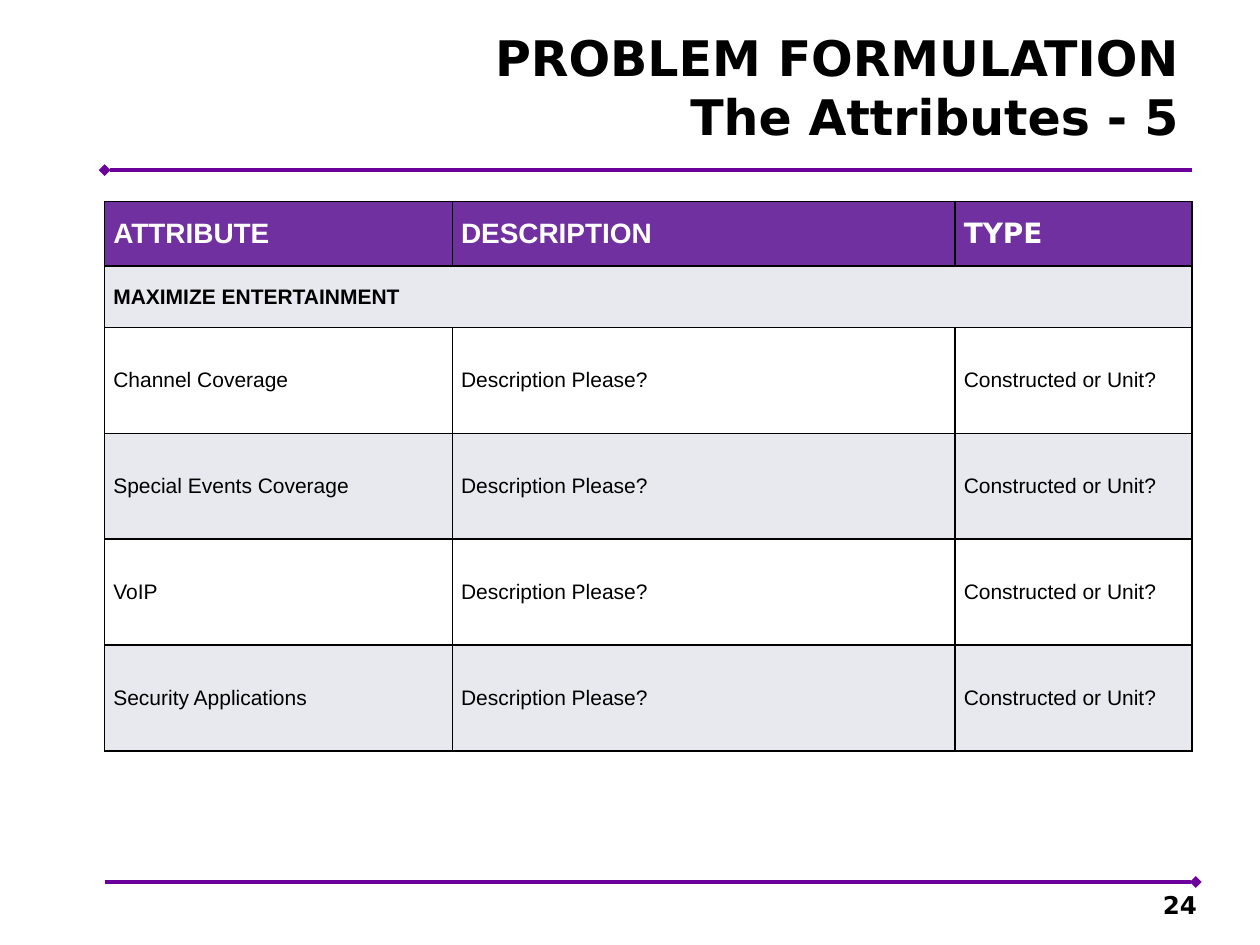
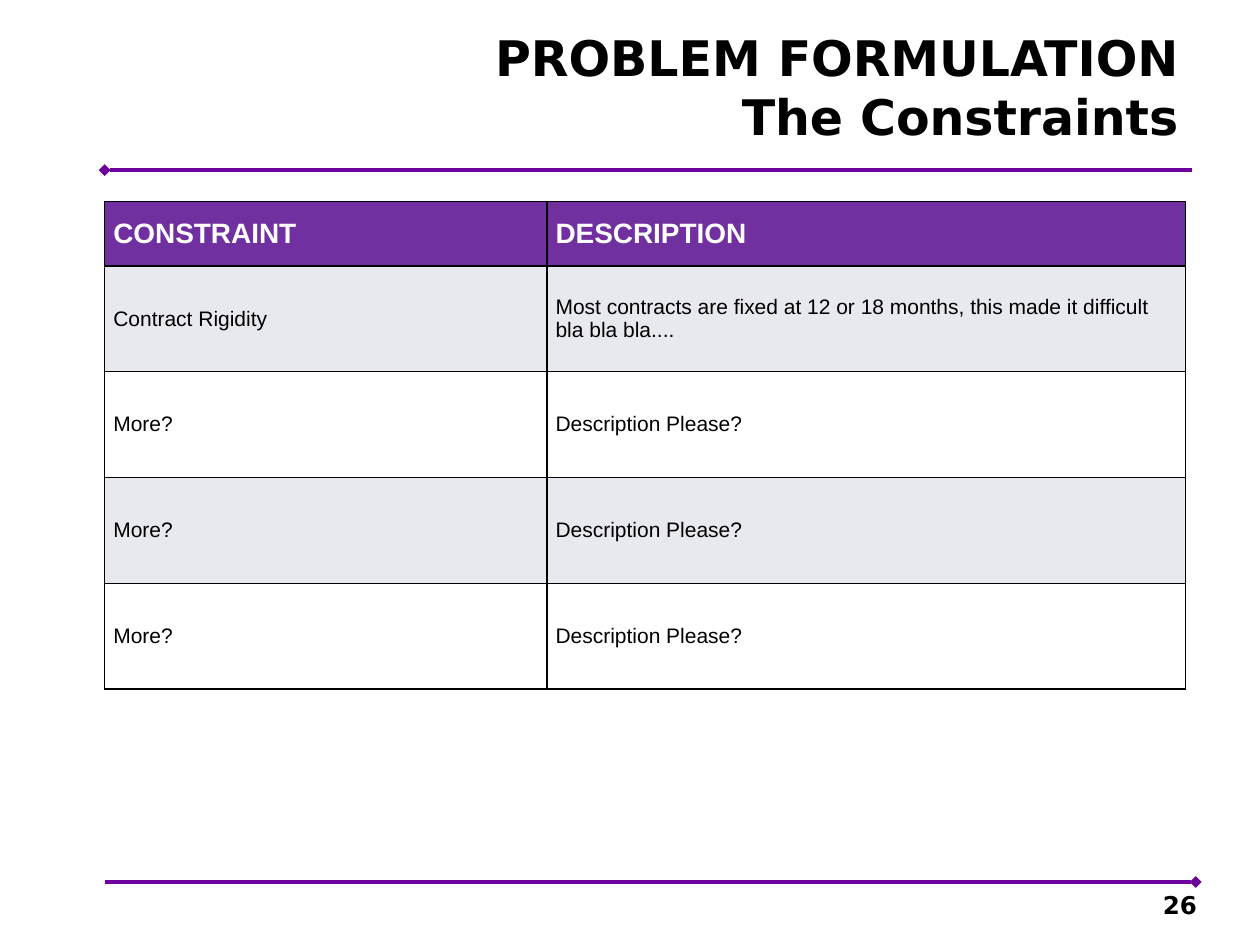
from lxml import etree
from pptx import Presentation
from pptx.dml.color import RGBColor
from pptx.enum import shapes, text
from pptx.oxml import ns
from pptx.util import Inches, Pt

COLORS = {
    "rule": "6D009D",
    "header": "7030A0",
    "band": "E8E8EF",
    "white": "FFFFFF",
    "black": "000000",
}
HEADING_FONT = "DejaVu Sans"
BODY_FONT = "Arial"
LEFT = 0.83
TABLE_TOP = 1.6
HEADER_H, SECTION_H, ROW_H = 0.51, 0.49, 0.84


def rgb(name):
    return RGBColor.from_string(COLORS[name])


def add_sub(parent, tag, **attrs):
    return etree.SubElement(parent, ns.qn(tag), attrs)


def style_runs(p, size, font, color, bold):
    for r in p.runs:
        r.font.size = Pt(size)
        r.font.name = font
        r.font.bold = bold
        r.font.color.rgb = rgb(color)


def add_rule(s, y, right, diamond_end):
    line = s.shapes.add_connector(
        shapes.MSO_CONNECTOR.STRAIGHT,
        Inches(LEFT), Inches(y), Inches(right), Inches(y))
    line.line.color.rgb = rgb("rule")
    line.line.width = Pt(2.25)
    add_sub(line.line._get_or_add_ln(), diamond_end, type="diamond")
    add_sub(line._element.spPr, "a:effectLst")


def add_heading_text(s, content, box, size, anchor, right_inset=0.1):
    sp = s.shapes.add_textbox(*map(Inches, box))
    tf = sp.text_frame
    tf.word_wrap = True
    tf.vertical_anchor = anchor
    tf.margin_right = Inches(right_inset)
    p = tf.paragraphs[0]
    p.text = content
    p.alignment = text.PP_ALIGN.RIGHT
    style_runs(p, size, HEADING_FONT, "black", True)


def add_frame(prs, subtitle, number):
    s = prs.slides.add_slide(prs.slide_layouts[6])
    s.background.fill.solid()
    s.background.fill.fore_color.rgb = rgb("white")
    add_rule(s, 1.35, 9.46, "a:headEnd")
    add_rule(s, 7, 9.49, "a:tailEnd")
    add_heading_text(s, f"PROBLEM FORMULATION\v{subtitle}",
                     (2.64, 0.17, 6.81, 1.1), 28, text.MSO_ANCHOR.TOP)
    add_heading_text(s, str(number), (7.17, 7.06, 2.33, 0.29), 14,
                     text.MSO_ANCHOR.BOTTOM, right_inset=0)
    return s


def set_borders(cell):
    tcPr = cell._tc.get_or_add_tcPr()
    for side in ("a:lnL", "a:lnR", "a:lnT", "a:lnB"):
        ln = add_sub(tcPr, side, w=str(Pt(1)))
        add_sub(add_sub(ln, "a:solidFill"), "a:srgbClr", val=COLORS["black"])


def style_cell(cell, fill, size, font, color, bold):
    set_borders(cell)
    cell.fill.solid()
    cell.fill.fore_color.rgb = rgb(fill)
    cell.vertical_anchor = text.MSO_ANCHOR.MIDDLE
    cell.margin_left = cell.margin_right = Inches(0.07)
    cell.margin_top = cell.margin_bottom = 0
    style_runs(cell.text_frame.paragraphs[0], size, font, color, bold)


def add_grid(s, widths, rows, header_fonts):
    heights = [HEADER_H] + [SECTION_H if len(row) == 1 else ROW_H
                            for row in rows[1:]]
    table = s.shapes.add_table(
        len(rows), len(widths), Inches(LEFT), Inches(TABLE_TOP),
        Inches(sum(widths)), Inches(sum(heights))).table
    for col, width in zip(table.columns, widths):
        col.width = Inches(width)
    for i, row in enumerate(rows):
        table.rows[i].height = Inches(heights[i])
        is_section = len(row) == 1
        if is_section:
            table.cell(i, 0).merge(table.cell(i, len(widths) - 1))
        for j in range(len(widths)):
            cell = table.cell(i, j)
            if j < len(row):
                cell.text_frame.text = row[j]
            if i == 0:
                style_cell(cell, "header", 16, header_fonts[j], "white", True)
            else:
                fill = "band" if i % 2 else "white"
                style_cell(cell, fill, 12, BODY_FONT, "black", is_section)


def main():
    prs = Presentation()
    prs.slide_width, prs.slide_height = Inches(10), Inches(7.5)

    s = add_frame(prs, "The Attributes - 5", 24)
    attributes = ["Channel Coverage", "Special Events Coverage", "VoIP",
                  "Security Applications"]
    add_grid(s, [2.76, 3.99, 1.88],
             [["ATTRIBUTE", "DESCRIPTION", "TYPE"],
              ["MAXIMIZE ENTERTAINMENT"]]
             + [[name, "Description Please?", "Constructed or Unit?"]
                for name in attributes],
             [BODY_FONT, BODY_FONT, HEADING_FONT])

    s = add_frame(prs, "The Constraints", 26)
    add_grid(s, [3.51, 5.07],
             [["CONSTRAINT", "DESCRIPTION"],
              ["Contract Rigidity",
               "Most contracts are fixed at 12 or 18 months, "
               "this made it difficult bla bla bla...."]]
             + [["More?", "Description Please?"]] * 3,
             [BODY_FONT, BODY_FONT])

    prs.save("out.pptx")


main()
